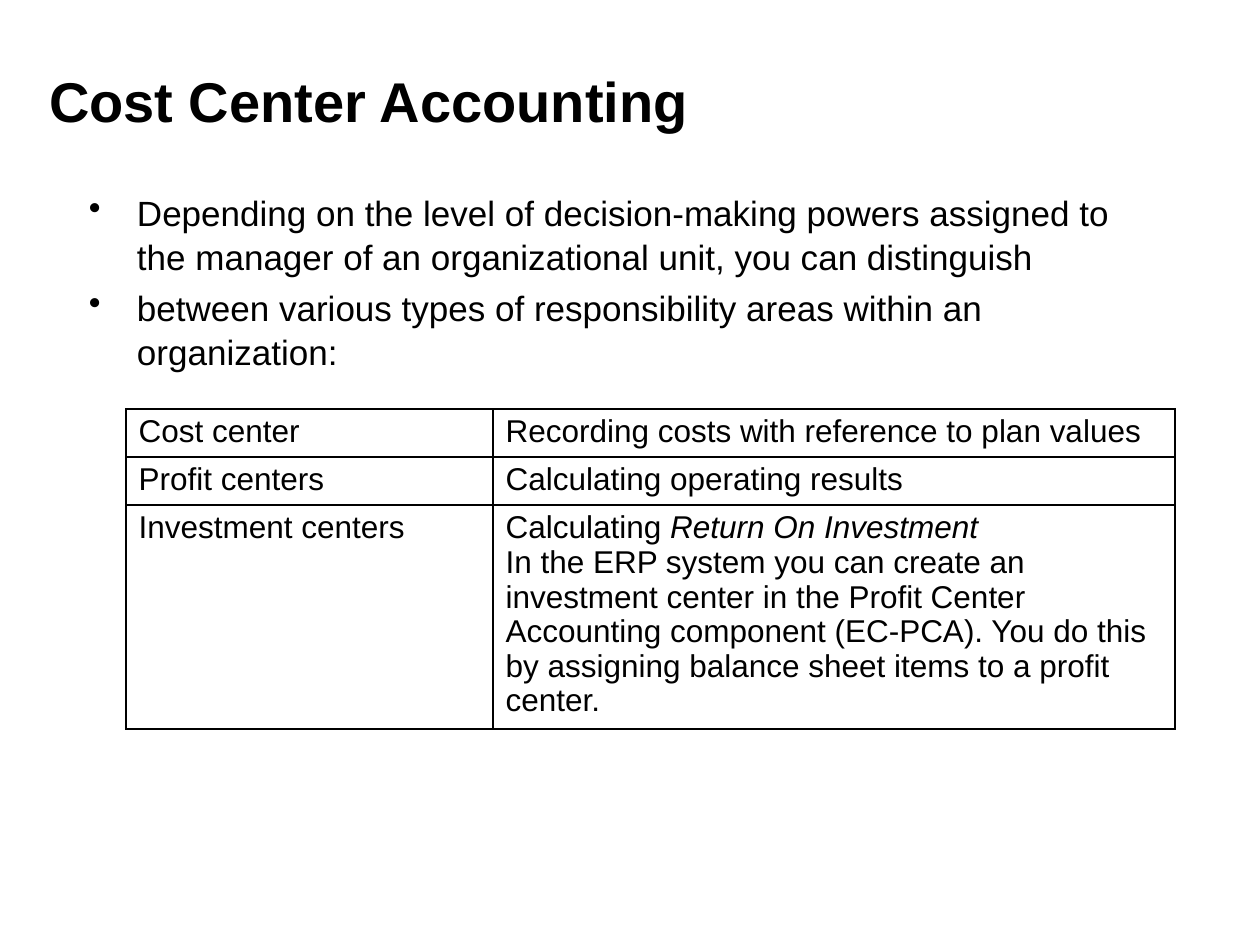
from dataclasses import dataclass

import pptx
import pptx.dml.color
import pptx.enum.text
import pptx.oxml
import pptx.oxml.ns
import pptx.util

PX = 914400 // 126
TITLE_ONLY = 5


@dataclass(frozen=True)
class Theme:
    font: str = "Arial"
    ink: pptx.dml.color.RGBColor = pptx.dml.color.RGBColor(0, 0, 0)
    title_size: int = 32
    bullet_size: int = 20
    table_size: int = 18
    border_width: int = 1


@dataclass(frozen=True)
class Box:
    left: int
    top: int
    width: int
    height: int

    def emu(self) -> list[int]:
        return [side * PX for side in (self.left, self.top, self.width, self.height)]


@dataclass(frozen=True)
class Run:
    text: str
    italic: bool = False


@dataclass(frozen=True)
class Responsibility:
    """One table row: a kind of center and what it does, by paragraph."""
    center: str
    purpose: list[list[Run]]
    height: int


THEME = Theme()
TITLE_BOX = Box(49, 60, 1203, 92)
BULLET_BOX = Box(89, 189, 1075, 630)
TABLE_BOX = Box(126, 409, 1049, 320)
COLUMN_WIDTHS = (367, 682)
BULLET_INDENT = 48

BULLETS = [
    "Depending on the level of decision-making powers assigned to the manager "
    "of an organizational unit, you can distinguish",
    "between various types of responsibility areas within an organization:",
]
RESPONSIBILITIES = [
    Responsibility("Cost center", [[Run("Recording costs with reference to plan values")]], 48),
    Responsibility("Profit centers", [[Run("Calculating operating results")]], 48),
    Responsibility("Investment centers", [
        [Run("Calculating "), Run("Return On Investment", italic=True)],
        [Run("In the ERP system you can create an investment center in the Profit Center "
             "Accounting component (EC-PCA). You do this by assigning balance sheet items "
             "to a profit center.")],
    ], 224),
]


def style(paragraph, size: int, line_spacing: float, bold: bool = False) -> None:
    paragraph.alignment = pptx.enum.text.PP_ALIGN.LEFT
    paragraph.line_spacing = line_spacing
    paragraph.font.name = THEME.font
    paragraph.font.size = pptx.util.Pt(size)
    paragraph.font.bold = bold
    paragraph.font.color.rgb = THEME.ink


def clear_insets(frame) -> None:
    frame.word_wrap = True
    frame.auto_size = pptx.enum.text.MSO_AUTO_SIZE.NONE
    frame.vertical_anchor = pptx.enum.text.MSO_ANCHOR.TOP
    frame.margin_left = frame.margin_top = frame.margin_right = frame.margin_bottom = 0


def next_paragraph(frame, index: int):
    return frame.add_paragraph() if index else frame.paragraphs[0]


def add_title(slide, text: str) -> None:
    title = slide.shapes.title
    title.left, title.top, title.width, title.height = TITLE_BOX.emu()
    clear_insets(title.text_frame)
    title.text_frame.text = text
    style(title.text_frame.paragraphs[0], THEME.title_size, 1.1, bold=True)


def add_bullets(slide, bullets: list[str]) -> None:
    frame = slide.shapes.add_textbox(*BULLET_BOX.emu()).text_frame
    clear_insets(frame)
    for index, text in enumerate(bullets):
        paragraph = next_paragraph(frame, index)
        paragraph.text = text
        properties = paragraph._p.get_or_add_pPr()
        properties.set("marL", str(BULLET_INDENT * PX))
        properties.set("indent", str(-BULLET_INDENT * PX))
        mark = pptx.oxml.ns.qn("a:buChar")
        properties.append(properties.makeelement(mark, {"char": "•"}))
        style(paragraph, THEME.bullet_size, 1.05)
        if index:
            paragraph.space_before = pptx.util.Pt(THEME.bullet_size * 0.2)


def add_borders(cell) -> None:
    """Rule all four sides; borders come before the fill in the cell properties."""
    properties = cell._tc.get_or_add_tcPr()
    namespace = pptx.oxml.ns.nsdecls("a")
    width = pptx.util.Pt(THEME.border_width)
    for position, side in enumerate(("lnL", "lnR", "lnT", "lnB")):
        properties.insert(position, pptx.oxml.parse_xml(
            f'<a:{side} {namespace} w="{width}"><a:solidFill>'
            f'<a:srgbClr val="{THEME.ink}"/></a:solidFill></a:{side}>'))


def fill_cell(cell, paragraphs: list[list[Run]]) -> None:
    cell.fill.background()
    add_borders(cell)
    for index, runs in enumerate(paragraphs):
        paragraph = next_paragraph(cell.text_frame, index)
        style(paragraph, THEME.table_size, 0.98)
        for run in runs:
            piece = paragraph.add_run()
            piece.text = run.text
            if run.italic:
                piece.font.italic = True


def add_responsibilities(slide, rows: list[Responsibility]) -> None:
    table = slide.shapes.add_table(len(rows), len(COLUMN_WIDTHS), *TABLE_BOX.emu()).table
    table.first_row = table.horz_banding = False
    for column, width in zip(table.columns, COLUMN_WIDTHS):
        column.width = width * PX
    for index, row in enumerate(rows):
        table.rows[index].height = row.height * PX
        fill_cell(table.cell(index, 0), [[Run(row.center)]])
        fill_cell(table.cell(index, 1), row.purpose)


def main() -> None:
    deck = pptx.Presentation()
    deck.slide_width, deck.slide_height = 1260 * PX, 945 * PX
    slide = deck.slides.add_slide(deck.slide_layouts[TITLE_ONLY])
    add_title(slide, "Cost Center Accounting")
    add_bullets(slide, BULLETS)
    add_responsibilities(slide, RESPONSIBILITIES)
    deck.save("out.pptx")


if __name__ == "__main__":
    main()
